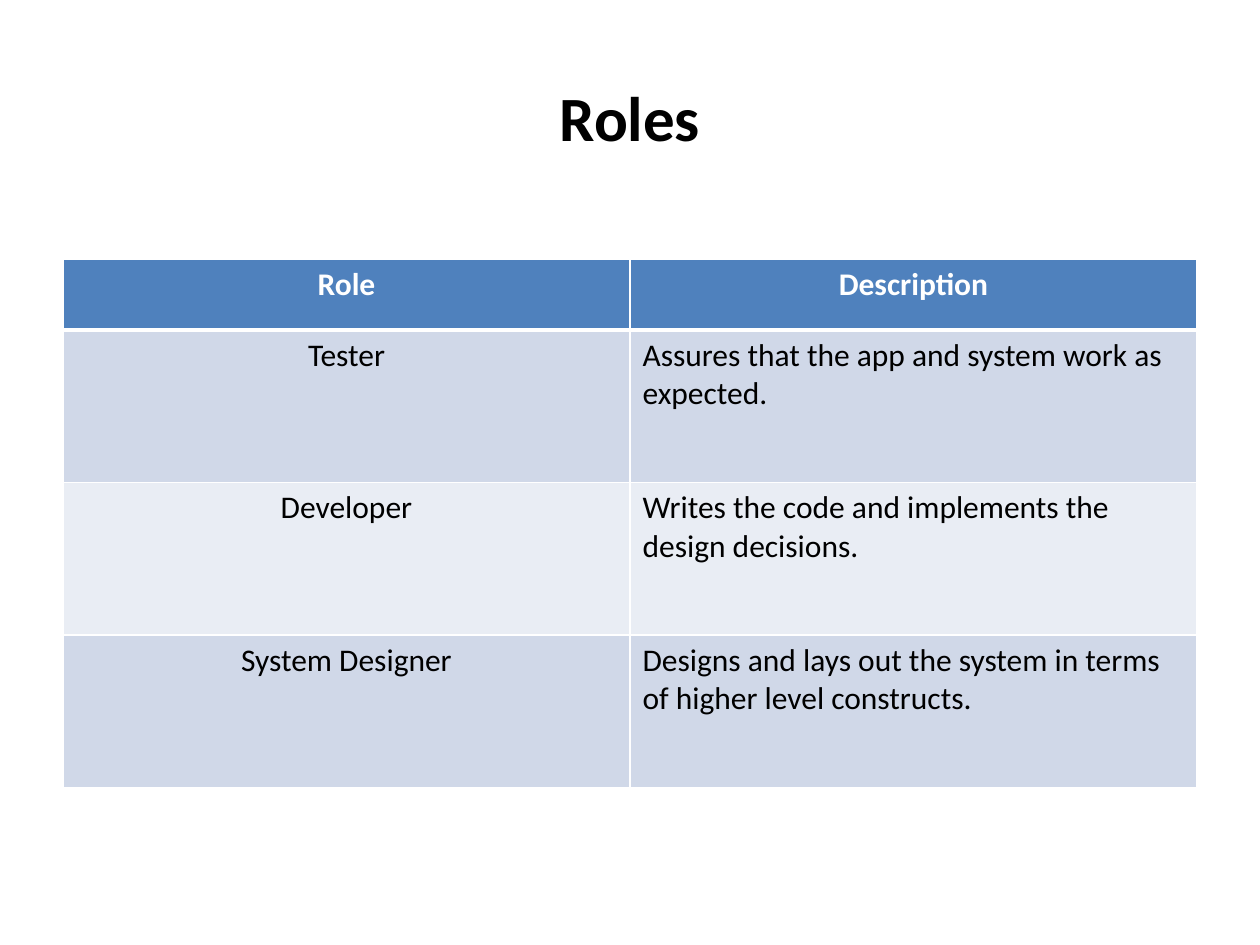
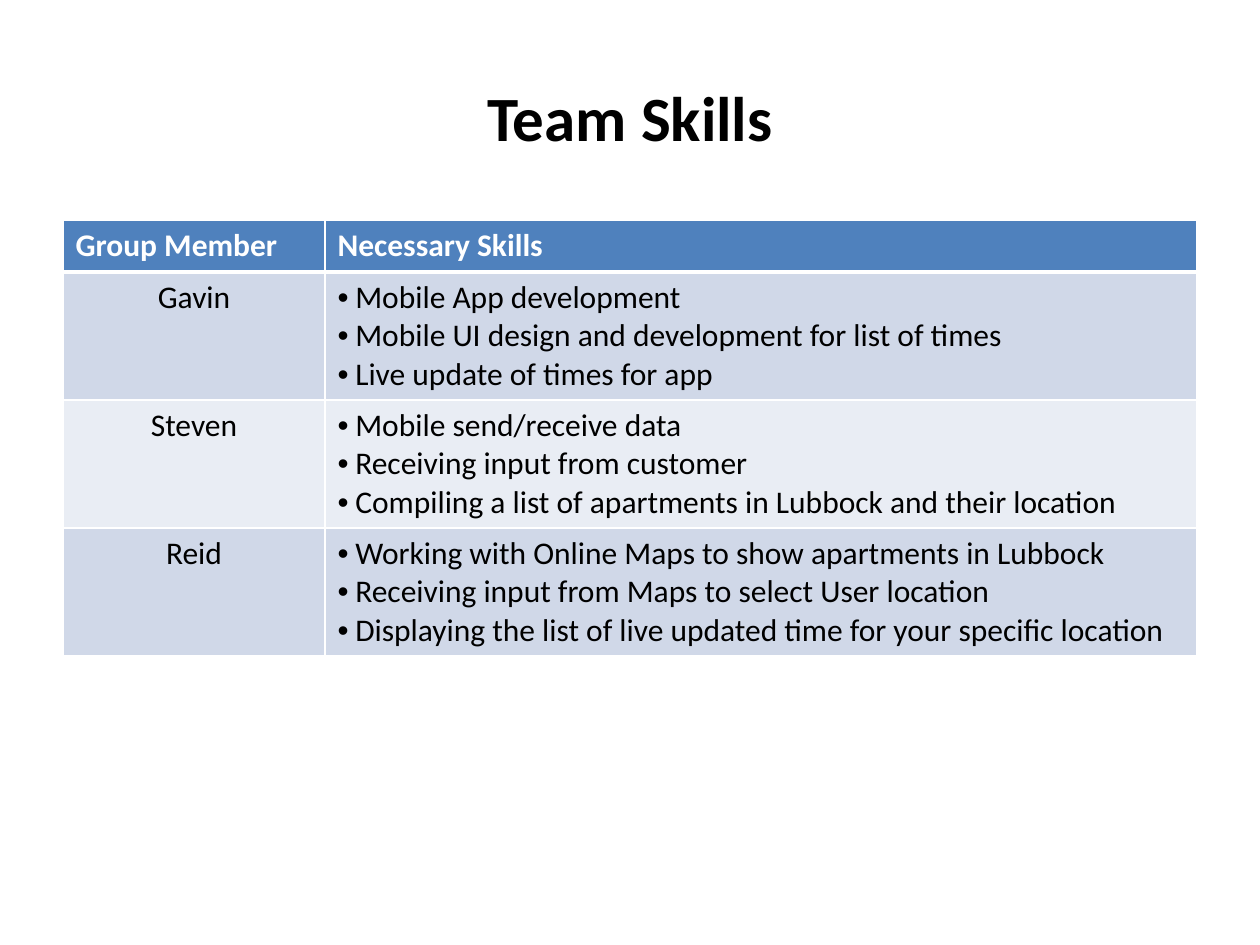
import dataclasses

import lxml.etree
import pptx
import pptx.dml.color
import pptx.enum.text
import pptx.oxml.ns
import pptx.presentation
import pptx.table
import pptx.text.text
import pptx.util

Inches = pptx.util.Inches
Pt = pptx.util.Pt
Color = pptx.dml.color.RGBColor
Align = pptx.enum.text.PP_ALIGN
qn = pptx.oxml.ns.qn

BLACK = Color(0x00, 0x00, 0x00)
WHITE = Color(0xFF, 0xFF, 0xFF)
BLUE = Color(0x4F, 0x81, 0xBD)
BANDS = (Color(0xD0, 0xD8, 0xE8), Color(0xE9, 0xED, 0xF4))
FONT = "Calibri"
LEFT = Inches(0.5)
WIDTH = Inches(9)
INDENT = Inches(0.14)


@dataclasses.dataclass(frozen=True)
class Page:
    title: str
    heads: tuple[str, str]
    rows: tuple[tuple[str, tuple[str, ...]], ...]
    top: float
    widths: tuple[float, float]
    head_height: float
    row_height: float
    head_align: Align
    listed: bool = False


PAGES = (
    Page(
        title="Roles",
        heads=("Role", "Description"),
        rows=(
            ("Tester", ("Assures that the app and system work as expected.",)),
            ("Developer", ("Writes the code and implements the design decisions.",)),
            ("System Designer",
             ("Designs and lays out the system in terms of higher level constructs.",)),
        ),
        top=2.06,
        widths=(4.5, 4.5),
        head_height=0.56,
        row_height=1.21,
        head_align=Align.CENTER,
    ),
    Page(
        title="Team Skills",
        heads=("Group Member", "Necessary Skills"),
        rows=(
            ("Gavin", (
                "Mobile App development",
                "Mobile UI design and development for list of times",
                "Live update of times for app",
            )),
            ("Steven", (
                "Mobile send/receive data",
                "Receiving input from customer",
                "Compiling a list of apartments in Lubbock and their location",
            )),
            ("Reid", (
                "Working with Online Maps to show apartments in Lubbock",
                "Receiving input from Maps to select User location",
                "Displaying the list of live updated time for your specific location",
            )),
        ),
        top=1.75,
        widths=(2.08, 6.92),
        head_height=0.41,
        row_height=1.01,
        head_align=Align.LEFT,
        listed=True,
    ),
)


def add_text(para: pptx.text.text._Paragraph, text: str, size: int,
             color: Color, bold: bool, align: Align) -> None:
    para.alignment = align
    run = para.add_run()
    run.text = text
    font = run.font
    font.name, font.size, font.bold = FONT, Pt(size), bold
    font.color.rgb = color


def add_bullet(para: pptx.text.text._Paragraph) -> None:
    props = para._p.get_or_add_pPr()
    props.set("marL", str(INDENT))
    props.set("indent", str(-INDENT))
    lxml.etree.SubElement(props, qn("a:buFont"), typeface="Arial")
    lxml.etree.SubElement(props, qn("a:buChar"), char="•")


def set_edges(cell: pptx.table._Cell, top: int, bottom: int) -> None:
    props = cell._tc.get_or_add_tcPr()
    for spot, (side, width) in enumerate((("L", 1), ("R", 1), ("T", top), ("B", bottom))):
        line = lxml.etree.Element(qn(f"a:ln{side}"), w=str(Pt(width)))
        fill = lxml.etree.SubElement(line, qn("a:solidFill"))
        lxml.etree.SubElement(fill, qn("a:srgbClr"), val=str(WHITE))
        props.insert(spot, line)


def fill_cell(cell: pptx.table._Cell, lines: tuple[str, ...], row: int,
              align: Align, listed: bool = False) -> None:
    head = row == 0
    cell.fill.solid()
    cell.fill.fore_color.rgb = BLUE if head else BANDS[(row - 1) % 2]
    set_edges(cell, 3 if row == 1 else 1, 3 if head else 1)
    frame = cell.text_frame
    for index, text in enumerate(lines):
        para = frame.add_paragraph() if index else frame.paragraphs[0]
        add_text(para, text, 18, WHITE if head else BLACK, head, align)
        if listed:
            add_bullet(para)


def add_page(deck: pptx.presentation.Presentation, page: Page) -> None:
    slide = deck.slides.add_slide(deck.slide_layouts[5])
    title = slide.shapes.title
    title.left, title.top, title.width, title.height = LEFT, Inches(0.3), WIDTH, Inches(1.25)
    title.text_frame.vertical_anchor = pptx.enum.text.MSO_ANCHOR.MIDDLE
    add_text(title.text_frame.paragraphs[0], page.title, 36, BLACK, True, Align.CENTER)

    heights = [page.head_height] + [page.row_height] * len(page.rows)
    table = slide.shapes.add_table(
        len(heights), 2, LEFT, Inches(page.top), WIDTH, Inches(sum(heights))).table
    for column, width in zip(table.columns, page.widths):
        column.width = Inches(width)
    for row, height in zip(table.rows, heights):
        row.height = Inches(height)
    for col, text in enumerate(page.heads):
        fill_cell(table.cell(0, col), (text,), 0, page.head_align)
    for row, (name, lines) in enumerate(page.rows, 1):
        fill_cell(table.cell(row, 0), (name,), row, Align.CENTER)
        fill_cell(table.cell(row, 1), lines, row, Align.LEFT, page.listed)


def main() -> None:
    deck = pptx.Presentation()
    deck.slide_width, deck.slide_height = Inches(10), Inches(7.5)
    for page in PAGES:
        add_page(deck, page)
    deck.save("out.pptx")


if __name__ == "__main__":
    main()
